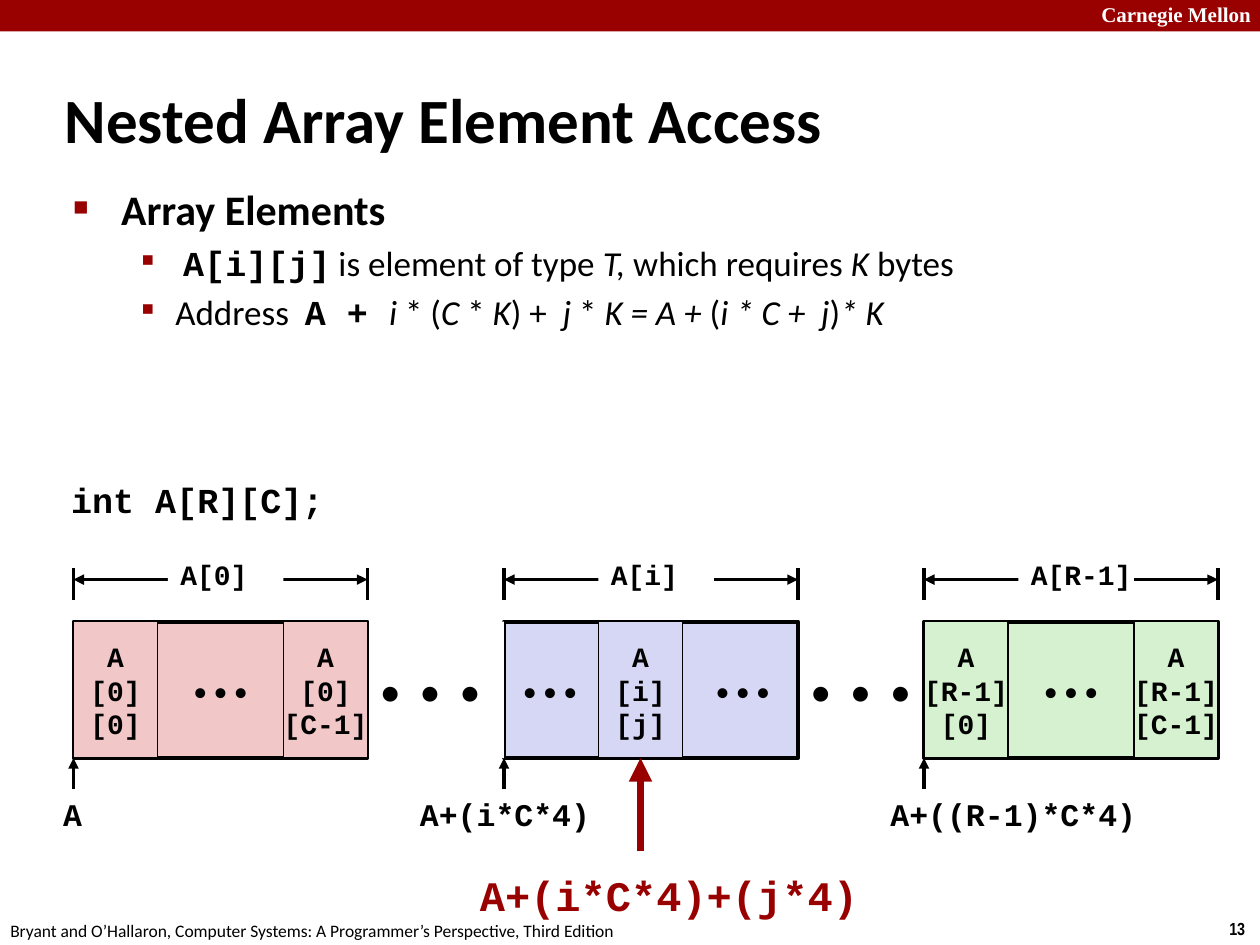
from dataclasses import dataclass

from lxml import etree
from pptx import Presentation
from pptx.dml.color import RGBColor
from pptx.enum.shapes import MSO_CONNECTOR, MSO_SHAPE
from pptx.enum.text import MSO_ANCHOR, PP_ALIGN
from pptx.oxml.ns import qn
from pptx.util import Inches, Pt

RECT, STRAIGHT = MSO_SHAPE.RECTANGLE, MSO_CONNECTOR.STRAIGHT
TOP, MIDDLE = MSO_ANCHOR.TOP, MSO_ANCHOR.MIDDLE
LEFT, CENTER, RIGHT = PP_ALIGN.LEFT, PP_ALIGN.CENTER, PP_ALIGN.RIGHT


@dataclass(frozen=True)
class Theme:
    red: str = "990000"
    black: str = "000000"
    white: str = "FFFFFF"
    pink: str = "F1C7C7"
    lilac: str = "D6D6F5"
    green: str = "D5F1CF"
    sans: str = "Calibri"
    code: str = "Courier New"
    serif: str = "Times New Roman"
    narrow: str = "Arial Narrow"
    title: int = 36
    large: int = 24
    body: int = 20
    caption: int = 18
    cell: int = 16
    header: int = 12
    footer: int = 10


THEME = Theme()


@dataclass(frozen=True)
class Style:
    size: int
    font: str = THEME.code
    bold: bool = True
    color: str = THEME.black
    italic: bool = False


@dataclass(frozen=True)
class Box:
    """Left, top, width and height in grid units; the slide is 120 by 90."""
    left: float
    top: float
    width: float
    height: float


@dataclass(frozen=True)
class ArrayRow:
    left: float
    fill: str
    label: str
    dots: str
    cells: tuple[tuple[int, str], ...]   # column offset and lines
    address: str
    address_left: float
    address_width: float


ROW_WIDTH, CELL_WIDTH, CELL_HEIGHT = 28, 8, 13
ROW_TOP = 59.2
ROW_BOTTOM = ROW_TOP + CELL_HEIGHT
CAPTION_TOP = 75.1
DOTS = "•\u00a0•\u00a0•"
GAP_DOTS = "• \u00a0•\u00a0 •"

CELL = Style(THEME.cell)
CELL_DOTS = Style(THEME.cell, THEME.sans, False)
CAPTION = Style(THEME.caption)
PLAIN = Style(THEME.body, THEME.sans, False)
ITALIC = Style(THEME.body, THEME.sans, False, italic=True)
CODE = Style(THEME.body)

FIRST_ROW = ArrayRow(7, THEME.pink, "A[0]", DOTS,
                     ((0, "A\n[0]\n[0]"), (20, "A\n[0]\n[C-1]")), "A", 4.3, 5.2)
MIDDLE_ROW = ArrayRow(48, THEME.lilac, "A[i]", f"{DOTS}\t{DOTS}",
                      ((9, "A\n[i]\n[j]"),), "A+(i*C*4)", 38.6, 19)
LAST_ROW = ArrayRow(88, THEME.green, "A[R-1]", DOTS,
                    ((0, "A\n[R-1]\n[0]"), (20, "A\n[R-1]\n[C-1]")),
                    "A+((R-1)*C*4)", 83, 27)

BULLETS = (
    ((" ", PLAIN), ("A[i][j]", CODE), (" is element of type ", PLAIN), ("T, ", ITALIC),
     ("which requires ", PLAIN), ("K", ITALIC), (" bytes", PLAIN)),
    (("Address  ", PLAIN), ("A + ", CODE), ("i ", ITALIC), ("* (", PLAIN),
     ("C ", ITALIC), ("* ", PLAIN), ("K", ITALIC), (") +  ", PLAIN),
     ("j", ITALIC), (" * ", PLAIN), ("K = A + ", ITALIC), ("(", PLAIN),
     ("i * C +  j", ITALIC), (")", PLAIN), ("* K", ITALIC)),
)


def grid(units: float) -> int:
    return Inches(units / 12)


def add_run(paragraph, text: str, style: Style) -> None:
    run = paragraph.add_run()
    run.text = text
    font = run.font
    font.name, font.size = style.font, Pt(style.size)
    font.bold, font.italic = style.bold, style.italic
    font.color.rgb = RGBColor.from_string(style.color)


def write(shape, text: str, style: Style, align=LEFT, anchor=TOP, wrap: bool = False) -> None:
    frame = shape.text_frame
    frame.word_wrap, frame.vertical_anchor = wrap, anchor
    for number, line in enumerate(text.split("\n")):
        paragraph = frame.add_paragraph() if number else frame.paragraphs[0]
        paragraph.alignment = align
        add_run(paragraph, line, style)


def add_box(shapes, box: Box):
    return shapes.add_textbox(*map(grid, (box.left, box.top, box.width, box.height)))


def add_rect(shapes, box: Box, fill: str, border: float = 0):
    rect = shapes.add_shape(RECT, *map(grid, (box.left, box.top, box.width, box.height)))
    rect.shadow.inherit = False
    rect.fill.solid()
    rect.fill.fore_color.rgb = RGBColor.from_string(fill)
    if border:
        rect.line.color.rgb = RGBColor.from_string(THEME.black)
        rect.line.width = Pt(border)
    else:
        rect.line.fill.background()
    return rect


def add_line(shapes, x1: float, y1: float, x2: float, y2: float, ends: tuple[str, ...] = (),
             color: str = THEME.black, width: float = 2) -> None:
    line = shapes.add_connector(STRAIGHT, *map(grid, (x1, y1, x2, y2)))
    line.line.color.rgb = RGBColor.from_string(color)
    line.line.width = Pt(width)
    outline = line.line._get_or_add_ln()
    for end in ends:
        etree.SubElement(outline, qn(f"a:{end}"), type="triangle")
    etree.SubElement(line._element.spPr, qn("a:effectLst"))


def add_bullet(paragraph, char: str, percent: int, margin: float, hanging: float) -> None:
    props = paragraph._p.get_or_add_pPr()
    props.set("marL", str(Inches(margin)))
    props.set("indent", str(-Inches(hanging)))
    color = etree.SubElement(props, qn("a:buClr"))
    etree.SubElement(color, qn("a:srgbClr"), val=THEME.red)
    etree.SubElement(props, qn("a:buSzPct"), val=str(percent * 1000))
    etree.SubElement(props, qn("a:buFont"), typeface=THEME.code)
    etree.SubElement(props, qn("a:buChar"), char=char)


def add_array_row(slide, row: ArrayRow) -> None:
    shapes = slide.shapes.add_group_shape().shapes
    right = row.left + ROW_WIDTH
    # Memory cells
    block = add_rect(shapes, Box(row.left, ROW_TOP, ROW_WIDTH, CELL_HEIGHT), row.fill, 2.25)
    split = "\t" in row.dots
    write(block, row.dots, CELL_DOTS, LEFT if split else CENTER, MIDDLE, wrap=split)
    if split:
        block.text_frame.margin_left = Inches(0.15)
        tabs = etree.SubElement(block.text_frame.paragraphs[0]._p.get_or_add_pPr(), qn("a:tabLst"))
        etree.SubElement(tabs, qn("a:tab"), pos=str(Inches(1.53)), algn="l")
    for offset, lines in row.cells:
        cell = add_rect(shapes, Box(row.left + offset, ROW_TOP, CELL_WIDTH, CELL_HEIGHT), row.fill, 1)
        write(cell, lines, CELL, CENTER, MIDDLE)
    # Extent marker
    for edge in (row.left, right):
        add_line(shapes, edge, 54.1, edge, 57.1)
    add_line(shapes, row.left, 55.2, right, 55.2, ("headEnd", "tailEnd"))
    write(add_rect(shapes, Box(row.left + 9, 52.2, 11, 5), THEME.white), row.label, CELL, anchor=MIDDLE)
    # Start address
    add_line(slide.shapes, row.left, CAPTION_TOP, row.left, ROW_BOTTOM, ("tailEnd",))
    write(add_box(slide.shapes, Box(row.address_left, CAPTION_TOP, row.address_width, 4.8)),
          row.address, CAPTION, CENTER, wrap=True)


def add_gap(shapes, left: float) -> None:
    gap = add_rect(shapes, Box(left, ROW_TOP, 13, CELL_HEIGHT), THEME.white)
    write(gap, GAP_DOTS, Style(THEME.large, THEME.sans, False), anchor=MIDDLE)


def add_outline(shapes) -> None:
    frame = add_box(shapes, Box(5.8, 16.9, 102.2, 19.1)).text_frame
    frame.word_wrap = True
    heading = frame.paragraphs[0]
    add_bullet(heading, "■", 60, 0.38, 0.38)
    add_run(heading, "Array Elements", Style(THEME.large, THEME.sans))
    for runs in BULLETS:
        item = frame.add_paragraph()
        item.level = 1
        add_bullet(item, "▪", 110, 0.81, 0.31)
        item.space_before = Pt(4)
        for text, style in runs:
            add_run(item, text, style)


def main() -> None:
    deck = Presentation()
    deck.slide_width, deck.slide_height = Inches(10), Inches(7.5)
    slide = deck.slides.add_slide(deck.slide_layouts[6])
    shapes = slide.shapes

    # Header and footer
    add_rect(shapes, Box(0, 0, 120, 3), THEME.red)
    write(add_box(shapes, Box(103.7, -0.4, 17.2, 3.6)), "Carnegie Mellon",
          Style(THEME.header, THEME.serif, color=THEME.white))
    write(add_box(shapes, Box(115.9, 86.8, 4.1, 3.2)), "13", Style(THEME.footer, THEME.narrow))
    write(add_box(shapes, Box(-0.2, 87, 61, 3.2)),
          "Bryant and O’Hallaron, Computer Systems: A Programmer’s Perspective, Third Edition",
          Style(THEME.footer, THEME.sans, False))

    # Title, outline and declaration
    write(add_box(shapes, Box(5, 7.5, 91, 7.5)), "Nested Array Element Access",
          Style(THEME.title, THEME.sans), anchor=MIDDLE, wrap=True)
    add_outline(shapes)
    write(add_box(shapes, Box(5.6, 45, 28, 5.2)), "int A[R][C];", CODE)

    # Array in memory; the first row overlaps the gap after it
    add_gap(shapes, MIDDLE_ROW.left + ROW_WIDTH)
    add_array_row(slide, MIDDLE_ROW)
    add_array_row(slide, LAST_ROW)
    add_gap(shapes, FIRST_ROW.left + ROW_WIDTH)
    add_array_row(slide, FIRST_ROW)

    # Element address
    add_line(shapes, 61, 81, 61, ROW_BOTTOM, ("tailEnd",), THEME.red, 4.5)
    write(add_box(shapes, Box(44.3, 82.2, 38.8, 6)), "A+(i*C*4)+(j*4)",
          Style(THEME.large, color=THEME.red), CENTER, wrap=True)

    deck.save("out.pptx")


if __name__ == "__main__":
    main()
